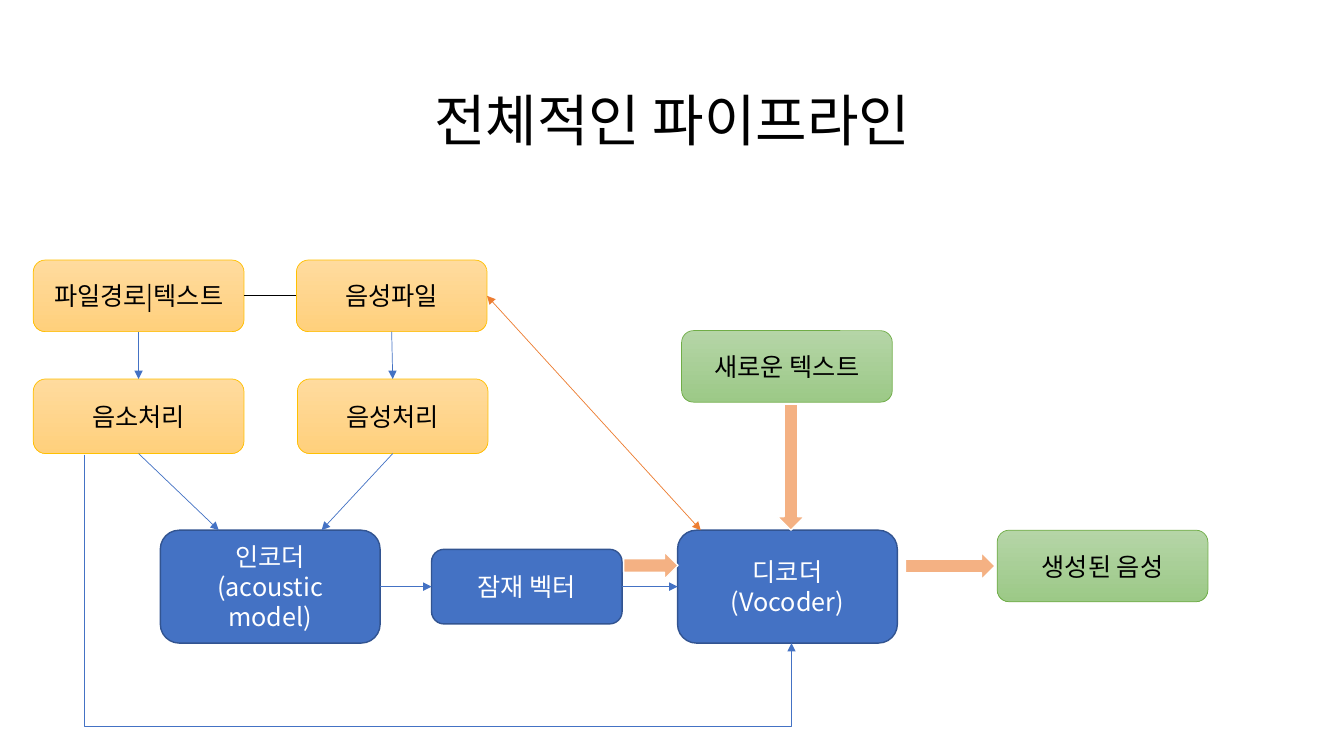
from lxml import etree
from pptx import Presentation, util as u
from pptx.dml.color import RGBColor
from pptx.enum import shapes, text
from pptx.oxml.ns import qn

TOP, LEFT, BOTTOM, RIGHT = range(4)
BLUE, ORANGE, PEACH = "4472C4", "ED7D31", "F4B183"
# Each box style: fill colours, line colour, line width, text colour
INPUT = (["FFDB9E", "FFD07C"], "FFC000", 0.5, "000000")
MODEL = ([BLUE], "325491", 1, "FFFFFF")
RESULT = (["B5D5A7", "9CC987"], "70AD47", 0.5, "000000")


def rgb(value):
    return RGBColor.from_string(value)


class PipelineSlide:
    font = "Noto Sans CJK KR"

    def __init__(self, deck):
        self.page = deck.slides.add_slide(deck.slide_layouts[6])

    def add_lines(self, frame, lines, size, color):
        frame.word_wrap = True
        for index, line in enumerate(lines):
            para = frame.paragraphs[0] if index == 0 else frame.add_paragraph()
            para.alignment = text.PP_ALIGN.CENTER
            span = para.add_run()
            span.text = line
            span.font.size = u.Pt(size)
            span.font.name = self.font
            span.font.color.rgb = rgb(color)
            east_asian = etree.SubElement(span.font._element, qn("a:ea"))
            east_asian.set("typeface", self.font)

    def title(self, line, *place):
        frame = self.page.shapes.add_textbox(*map(u.Inches, place)).text_frame
        frame.vertical_anchor = text.MSO_ANCHOR.BOTTOM
        frame.margin_bottom = u.Inches(0.68)
        self.add_lines(frame, [line], 40, "000000")
        frame.paragraphs[0].line_spacing = 0.9

    def shape(self, kind, place, fills, line, width):
        """Add a preset shape; two fill colours make a downward gradient."""
        shape = self.page.shapes.add_shape(kind, *map(u.Inches, place))
        shape.shadow.inherit = False
        if len(fills) == 1:
            shape.fill.solid()
            shape.fill.fore_color.rgb = rgb(fills[0])
        else:
            shape.fill.gradient()
            shape.fill.gradient_angle = 270
            for stop, color in zip(shape.fill.gradient_stops, fills):
                stop.color.rgb = rgb(color)
        shape.line.color.rgb = rgb(line)
        shape.line.width = u.Pt(width)
        return shape

    def box(self, style, place, *lines):
        fills, line, width, color = style
        box = self.shape(shapes.MSO_SHAPE.ROUNDED_RECTANGLE, place, fills, line, width)
        box.text_frame.vertical_anchor = text.MSO_ANCHOR.MIDDLE
        self.add_lines(box.text_frame, lines, 18, color)
        return box

    def block_arrow(self, place, rotation=0):
        arrow = self.shape(shapes.MSO_SHAPE.DOWN_ARROW, place, [PEACH], "FFFFFF", 1)
        arrow.rotation = rotation

    def link(self, start, end, color=BLUE, heads=("tailEnd",),
             kind=shapes.MSO_CONNECTOR.STRAIGHT):
        """Draw a connector; each end is (box, side) or (x, y) in inches."""
        points = [(0, 0) if hasattr(a, "text_frame") else (u.Inches(a), u.Inches(b))
                  for a, b in (start, end)]
        line = self.page.shapes.add_connector(kind, *points[0], *points[1])
        for (target, side), join in ((start, line.begin_connect), (end, line.end_connect)):
            if hasattr(target, "text_frame"):
                join(target, side)
        line.line.color.rgb = rgb(color)
        line.line.width = u.Pt(0.5)
        for head in heads:
            etree.SubElement(line.line._get_or_add_ln(), qn("a:" + head)).set("type", "triangle")
        etree.SubElement(line._element.spPr, qn("a:effectLst"))
        return line

    def detour(self, start, end, depth):
        """Draw an elbow arrow that runs down, across and back up to its end."""
        line = self.link(start, end, kind=shapes.MSO_CONNECTOR.ELBOW)
        geometry = line._element.spPr.find(qn("a:prstGeom"))
        geometry.set("prst", "bentConnector4")
        guides = geometry.find(qn("a:avLst"))
        if guides is None:
            guides = etree.SubElement(geometry, qn("a:avLst"))
        for name, ratio in (("adj1", 0), ("adj2", depth)):
            guide = etree.SubElement(guides, qn("a:gd"))
            guide.set("name", name)
            guide.set("fmla", f"val {round(ratio * 100000)}")


def main():
    deck = Presentation()
    deck.slide_width, deck.slide_height = u.Inches(13.33), u.Inches(7.5)
    slide = PipelineSlide(deck)
    slide.title("전체적인 파이프라인", 1.67, 0.41, 10, 1.79)

    script = slide.box(INPUT, (0.33, 2.58, 2.09, 0.71), "파일경로|텍스트")
    audio = slide.box(INPUT, (2.94, 2.58, 1.89, 0.71), "음성파일")
    phonemes = slide.box(INPUT, (0.33, 3.76, 2.09, 0.74), "음소처리")
    features = slide.box(INPUT, (2.95, 3.76, 1.89, 0.74), "음성처리")
    encoder = slide.box(MODEL, (1.59, 5.26, 2.18, 1.12), "인코더", "(acoustic model)")
    latent = slide.box(MODEL, (4.28, 5.45, 1.89, 0.74), "잠재 벡터")
    decoder = slide.box(MODEL, (6.72, 5.26, 2.18, 1.12), "디코더", "(Vocoder)")
    slide.box(RESULT, (6.76, 3.28, 2.09, 0.71), "새로운 텍스트")
    slide.box(RESULT, (9.89, 5.26, 2.09, 0.71), "생성된 음성")

    slide.link((script, RIGHT), (audio, LEFT), "000000", heads=())
    slide.link((script, BOTTOM), (phonemes, TOP))
    slide.link((audio, BOTTOM), (features, TOP))
    slide.link((phonemes, BOTTOM), (2.17, 5.26))
    slide.link((features, BOTTOM), (3.19, 5.26))
    slide.link((encoder, RIGHT), (latent, LEFT))
    slide.link((latent, RIGHT), (decoder, LEFT))
    slide.detour((0.84, 4.51), (7.85, 6.38), 1.44)

    slide.block_arrow((7.71, 4.01, 0.27, 1.25))
    slide.block_arrow((6.32, 5.34, 0.27, 0.54), 270)
    slide.block_arrow((9.29, 5.17, 0.27, 0.89), 270)
    slide.link((audio, RIGHT), (6.95, 5.26), ORANGE, heads=("headEnd", "tailEnd"))
    deck.save("out.pptx")


if __name__ == "__main__":
    main()
